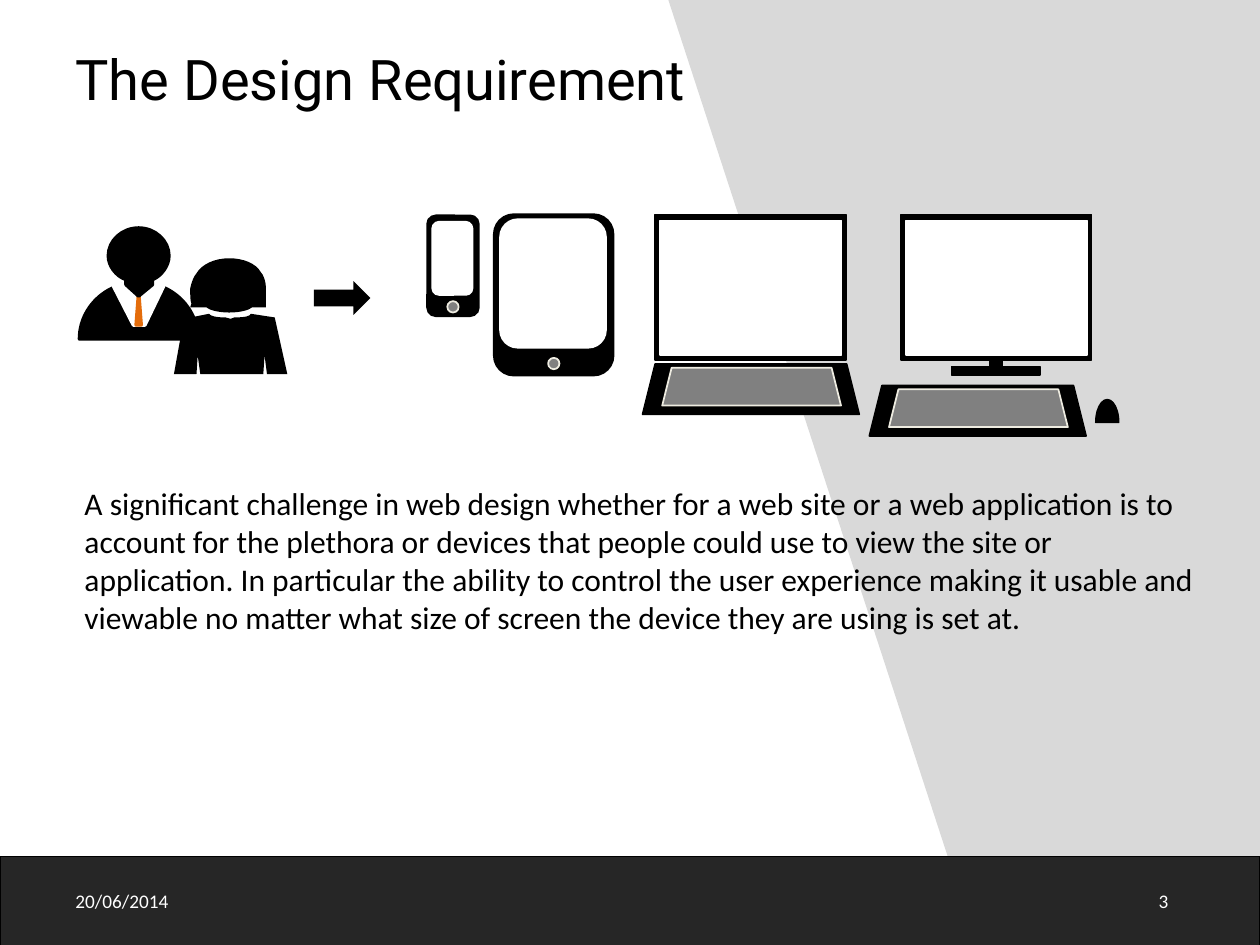
"""Build the design requirement slide: two users, an arrow and four kinds of device."""
import pptx
import pptx.dml.color
import pptx.enum.shapes
import pptx.enum.text
import pptx.oxml.ns
import pptx.util
import lxml.etree

Pt = pptx.util.Pt
qn = pptx.oxml.ns.qn
SHAPE = pptx.enum.shapes.MSO_SHAPE
ALIGN = pptx.enum.text.PP_ALIGN
ANCHOR = pptx.enum.text.MSO_ANCHOR
FIT = pptx.enum.text.MSO_AUTO_SIZE
BLACK, WHITE, GREY, CREAM, ORANGE = "000000", "FFFFFF", "808080", "EEECE1", "E46C0A"


def tint(fill, colour):
    """Give a fill, line fill or font fill a solid colour, or none."""
    if colour is None:
        fill.background()
    else:
        fill.solid()
        fill.fore_color.rgb = pptx.dml.color.RGBColor.from_string(colour)


def trace(canvas, steps):
    """Draw a closed outline of points and six-number cubic curves."""
    hundredths = [[round(100 * value) for value in step] for step in steps]
    ends = [step[-2:] for step in hundredths]
    left, top = min(x for x, _ in ends), min(y for _, y in ends)
    builder = canvas.build_freeform(*ends[0], scale=Pt(1) / 100)
    builder.add_line_segments(ends[1:], close=True)
    outline = builder.convert_to_shape()
    segments = list(outline._element.iter(qn("a:lnTo")))
    for segment, step in zip(segments, hundredths[1:]):
        if len(step) == 6:
            curve = lxml.etree.Element(qn("a:cubicBezTo"))
            for x, y in zip(step[::2], step[1::2]):
                lxml.etree.SubElement(curve, qn("a:pt"), x=str(x - left), y=str(y - top))
            segment.getparent().replace(segment, curve)
    return outline


deck = pptx.Presentation()
deck.slide_width, deck.slide_height = Pt(720), Pt(540)
slide = deck.slides.add_slide(deck.slide_layouts[5])

slant = [(720, 540.7), (558.7, 540.7), (382.3, 0), (720, 0)]
hair = [(131, 147.6), (139, 147.6, 146.2, 150.5, 149, 155.5), (150.5, 157, 152, 160.6, 152, 165.6),
        (152, 167.8, 152, 169.9, 152, 172), (152, 175.7), (144, 175.7),
        (142.6, 177.1, 137.5, 178.6, 131, 178.6), (124.6, 178.6, 119.5, 177.1, 118, 175.7),
        (108.7, 175.7), (109.4, 173.5), (108.7, 172, 108.7, 168.5, 108.7, 164.9),
        (109.4, 161.3, 110.9, 157.7, 112.3, 156.2), (115.2, 151.2, 122.4, 147.6, 131, 147.6)]
dress = [(143.3, 179.3), (157, 181.4), (164.2, 213.8), (152.6, 213.8), (151.2, 203), (150.5, 213.8),
         (114.5, 213.8), (113, 203), (112.3, 213.8), (99.4, 213.8), (105.1, 182.2), (119.5, 179.3),
         (120.2, 180.7, 123.8, 181.4, 128.9, 181.4), (131.8, 182.2), (133.9, 181.4),
         (139.7, 181.4, 143.3, 180.7, 143.3, 179.3)]
collar = [(64.8, 163.4), (76.3, 185.8), (82.8, 185.8), (93.6, 163.4), (87.8, 162), (79.2, 168.5),
          (71.3, 162), (64.8, 163.4)]
head = [(79.2, 130.3), (88.6, 130.3, 96.5, 137.5, 96.5, 146.2), (96.5, 151.9, 92.2, 157.7, 87.1, 159.8),
        (87.1, 162.7), (79.2, 169.2), (72, 162.7), (72, 159.8), (66.2, 157.7, 61.9, 151.9, 61.9, 146.2),
        (61.9, 137.5, 69.8, 130.3, 79.2, 130.3)]

backdrop = [(None, slant, "D9D9D9", "D9D9D9", 0.75),
            (SHAPE.RECTANGLE, (0, 489.6, 720, 51.5), "262626", BLACK, 0.75)]
woman = [(None, hair, BLACK, None, 0), (None, dress, BLACK, None, 0)]
man = [(SHAPE.PIE, (45.4, 161.3, 67.7, 64.8), BLACK, BLACK, 2),
       (None, collar, WHITE, WHITE, 2),
       (SHAPE.ISOSCELES_TRIANGLE, (77.8, 167, 2.9, 18.7), ORANGE, ORANGE, 2),
       (None, head, BLACK, BLACK, 2)]
arrow = [(SHAPE.RIGHT_ARROW, (179.3, 160.6, 32.4, 19.4), BLACK, None, 0)]
handhelds = [[(SHAPE.ROUNDED_RECTANGLE, case, BLACK, BLACK, 1),
              (SHAPE.ROUNDED_RECTANGLE, screen, WHITE, WHITE, 1),
              (SHAPE.OVAL, (*button, 6.5, 6.5), GREY, CREAM, 1)]
             for case, screen, button in (
                 ((244.1, 123.1, 29.5, 57.6), (247, 126.7, 23, 41.8), (255.6, 172.1)),
                 ((282.2, 122.4, 68.4, 92.2), (285.8, 125.3, 60.5, 73.4), (313.2, 204.5)))]
laptop, desktop = [[(SHAPE.RECTANGLE, (screen_x, 122.6, 109, 83), BLACK, BLACK, 1),
                    (SHAPE.TRAPEZOID, (base_x, base_y, 123.8, 28.8), BLACK, BLACK, 1),
                    (SHAPE.RECTANGLE, (screen_x + 2.9, 126, 103.7, 77), WHITE, WHITE, 1),
                    (SHAPE.TRAPEZOID, (base_x + 11.2, base_y + 2.2, 102.2, 21.6), GREY, CREAM, 1)]
                   for screen_x, base_x, base_y in ((374.4, 367.2, 208), (514.8, 496.8, 220.3))]
desktop += [(SHAPE.RECTANGLE, (543.8, 209.5, 50.4, 5), BLACK, BLACK, 1),
            (SHAPE.RECTANGLE, (565.9, 203.8, 6.5, 8.6), BLACK, BLACK, 1),
            (SHAPE.PIE, (626.2, 228.4, 13, 25.9), BLACK, BLACK, 1)]

for figure in (backdrop, woman, man, arrow, *handhelds, laptop, desktop):
    loose = figure in (backdrop, arrow)
    canvas = slide.shapes if loose else slide.shapes.add_group_shape().shapes
    for preset, geometry, fill, line, width in figure:
        if preset is None:
            part = trace(canvas, geometry)
        else:
            part = canvas.add_shape(preset, *map(Pt, geometry))
        if preset == SHAPE.PIE:
            part.rotation = 180
            part.adjustments[0], part.adjustments[1] = 0, 107.9
        part.shadow.inherit = False
        tint(part.fill, fill)
        tint(part.line.fill, line)
        if line:
            part.line.width = Pt(width)

title = slide.shapes.title
slide.shapes._spTree.append(title._element)
challenge = ("A significant challenge in web design whether for a web site or a web application is to "
             "account for the plethora or devices that people could use to view the site or application. "
             "In particular the ability to control the user experience making it usable and viewable "
             "no matter what size of screen the device they are using is set at.")
middle = {"word_wrap": True, "auto_size": FIT.NONE, "vertical_anchor": ANCHOR.MIDDLE}
growing = {"word_wrap": True, "auto_size": FIT.SHAPE_TO_FIT_TEXT, "vertical_anchor": ANCHOR.TOP}
heading = {"name": "Roboto", "size": Pt(32)}
prose = {"name": "Calibri", "size": Pt(18)}
small = {"name": "Calibri", "size": Pt(11)}

for wording, box, frame_format, font_format, colour, alignment in (
        ("The Design Requirement", (36, 22, 525.6, 45.4), middle, heading, BLACK, ALIGN.LEFT),
        ("3", (506.9, 500.4, 167.8, 28.8), middle, small, WHITE, ALIGN.RIGHT),
        ("20/06/2014", (36, 500.4, 167.8, 28.8), middle, small, WHITE, ALIGN.LEFT),
        (challenge, (41.2, 273.1, 651.6, 94.3), growing, prose, BLACK, ALIGN.LEFT)):
    holder = title if font_format is heading else slide.shapes.add_textbox(*map(Pt, box))
    holder.left, holder.top, holder.width, holder.height = map(Pt, box)
    frame = holder.text_frame
    frame.text = wording
    paragraph = frame.paragraphs[0]
    paragraph.alignment = alignment
    font = paragraph.runs[0].font
    for target, values in ((frame, frame_format), (font, font_format)):
        for key, value in values.items():
            setattr(target, key, value)
    tint(font.fill, colour)

deck.save("out.pptx")
